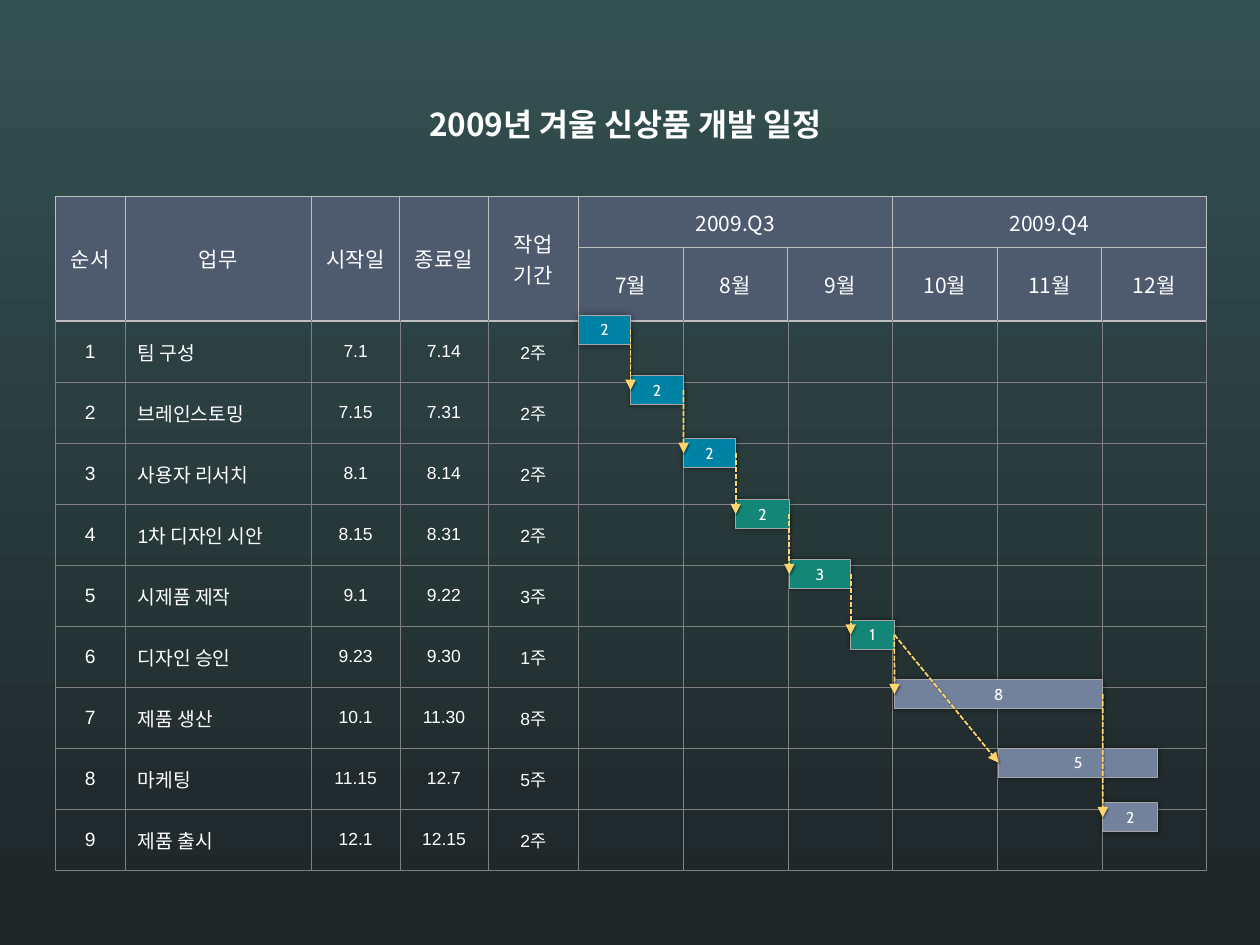
from dataclasses import dataclass

from lxml.etree import SubElement
from pptx import Presentation
from pptx.dml.color import RGBColor
from pptx.enum.dml import MSO_LINE
from pptx.enum.shapes import MSO_CONNECTOR as Connector, MSO_SHAPE as Preset
from pptx.enum.text import MSO_ANCHOR as Anchor, MSO_AUTO_SIZE as AutoSize, PP_ALIGN as Align
from pptx.oxml.ns import qn
from pptx.util import Cm, Pt


@dataclass(frozen=True)
class Theme:
    """Colours, fonts and sizes of the schedule."""
    top: str = "345152"
    bottom: str = "1F2729"
    text: str = "FFFFFF"
    header: str = "4E5B6F"
    header_line: str = "BFBFBF"
    grid: str = "808080"
    bar_line: str = "A6A6A6"
    arrow: str = "FED46C"
    planning: str = "0082A5"
    design: str = "138677"
    launch: str = "72829C"
    korean: str = "Noto Sans CJK KR"
    body: str = "Arial"
    label: str = "Cabin"
    title_size: int = 18
    header_size: int = 12
    task_size: int = 11
    date_size: int = 10
    label_size: int = 9


THEME = Theme()
COLUMNS = [1.4, 3.76, 1.78, 1.78, 1.82] + [2.11] * 6
ROWS = [1.03] * 2 + [1.23] * 9
HEADINGS = ["순서", "업무", "시작일", "종료일", "작업\n기간"]
QUARTERS = {5: "2009.Q3", 8: "2009.Q4"}
TASKS = [
    ("팀 구성", "7.1", "7.14", 2),
    ("브레인스토밍", "7.15", "7.31", 2),
    ("사용자 리서치", "8.1", "8.14", 2),
    ("1차 디자인 시안", "8.15", "8.31", 2),
    ("시제품 제작", "9.1", "9.22", 3),
    ("디자인 승인", "9.23", "9.30", 1),
    ("제품 생산", "10.1", "11.30", 8),
    ("마케팅", "11.15", "12.7", 5),
    ("제품 출시", "12.1", "12.15", 2),
]
BARS = [
    (11.66, 12.71, 6.35, THEME.planning),
    (12.71, 13.78, 7.57, THEME.planning),
    (13.78, 14.83, 8.84, THEME.planning),
    (14.83, 15.91, 10.07, THEME.design),
    (15.91, 17.15, 11.28, THEME.design),
    (17.15, 18.03, 12.5, THEME.design),
    (18.03, 22.23, 13.7, THEME.launch),
    (20.13, 23.34, 15.08, THEME.launch),
    (22.23, 23.34, 16.18, THEME.launch),
]
LINKS = [(step, step + 1) for step in range(6)] + [(5, 7), (6, 8)]


def color(value):
    """Turn a hex string into a colour."""
    return RGBColor.from_string(value)


def write(frame, text, size, font, align=Align.CENTER, bold=False):
    """Write text into a frame, one paragraph for each line."""
    frame.text = text
    for paragraph in frame.paragraphs:
        paragraph.alignment = align
        for run in paragraph.runs:
            run.font.size, run.font.name, run.font.bold = Pt(size), font, bold
            run.font.color.rgb = color(THEME.text)
            SubElement(run.font._element, qn("a:ea"), typeface=THEME.korean)


def add_shadow(shape, blur, distance=0, angle=0):
    """Give a shape a soft black shadow."""
    properties = shape._element.spPr
    effects = properties.find(qn("a:effectLst"))
    if effects is None:
        effects = SubElement(properties, qn("a:effectLst"))
    shadow = SubElement(effects, qn("a:outerShdw"), blurRad=str(Pt(blur)),
                        dist=str(Pt(distance)), dir=str(angle * 60000))
    black = SubElement(shadow, qn("a:srgbClr"), val="000000")
    SubElement(black, qn("a:alpha"), val="40000")


def format_cell(cell, borders, fill=None):
    """Set the borders (left, right, top, bottom), the fill and the anchor of a cell."""
    properties = cell._tc.get_or_add_tcPr()
    for side, (line_color, width) in zip("LRTB", borders):
        line = SubElement(properties, qn(f"a:ln{side}"), w=str(Pt(width)))
        solid = SubElement(line, qn("a:solidFill"))
        SubElement(solid, qn("a:srgbClr"), val=line_color)
    if fill:
        cell.fill.solid()
        cell.fill.fore_color.rgb = color(fill)
    else:
        cell.fill.background()
    cell.vertical_anchor = Anchor.MIDDLE


class ScheduleSlide:
    """Holds the theme and the slide that is being filled."""

    def __init__(self, presentation, theme):
        """Add a slide with a gradient background."""
        self.theme = theme
        self.slide = presentation.slides.add_slide(presentation.slide_layouts[5])
        fill = self.slide.background.fill
        fill.gradient()
        fill.gradient_angle = 270
        stops = zip(fill.gradient_stops, (theme.top, theme.bottom), (0, 0.95))
        for stop, value, position in stops:
            stop.color.rgb, stop.position = color(value), position

    def title(self, text):
        """Place and fill the title placeholder."""
        shape = self.slide.shapes.title
        shape.left, shape.top, shape.width, shape.height = Cm(6.55), Cm(1.98), Cm(12.12), Cm(1.02)
        frame = shape.text_frame
        frame.auto_size, frame.word_wrap = AutoSize.NONE, True
        frame.vertical_anchor = Anchor.MIDDLE
        write(frame, text, self.theme.title_size, self.theme.korean, bold=True)

    def table(self):
        """Add the schedule table."""
        theme = self.theme
        table = self.slide.shapes.add_table(
            len(ROWS), len(COLUMNS), Cm(1.12), Cm(3.96), Cm(sum(COLUMNS)), Cm(sum(ROWS))).table
        table.first_row = table.horz_banding = False
        for column, width in zip(table.columns, COLUMNS):
            column.width = Cm(width)
        for row, height in zip(table.rows, ROWS):
            row.height = Cm(height)
        thin, thick = (theme.header_line, 0.5), (theme.header_line, 1)
        grid = (theme.grid, 0.25)
        last = len(COLUMNS) - 1
        for row in range(len(ROWS)):
            for column in range(len(COLUMNS)):
                if row < 2:
                    borders = [thick if column == 0 else thin, thick if column == last else thin,
                               thin if row else thick, thick if row else thin]
                    format_cell(table.cell(row, column), borders, theme.header)
                else:
                    borders = [grid, grid, thick if row == 2 else grid, grid]
                    format_cell(table.cell(row, column), borders)
        self.table_header(table)
        for row, (task, start, end, weeks) in enumerate(TASKS, 2):
            for column, text in enumerate((str(row - 1), task, start, end, f"{weeks}주")):
                write(table.cell(row, column).text_frame, text,
                      theme.task_size if column < 2 else theme.date_size, theme.body,
                      align=Align.LEFT if column == 1 else Align.CENTER)

    def table_header(self, table):
        """Merge and fill the two heading rows."""
        headings = {(0, column): text for column, text in enumerate(HEADINGS)}
        for row, column in headings:
            table.cell(row, column).merge(table.cell(1, column))
        for column, text in QUARTERS.items():
            table.cell(0, column).merge(table.cell(0, column + 2))
            headings[0, column] = text
        headings.update({(1, month - 2): f"{month}월" for month in range(7, 13)})
        for position, text in headings.items():
            write(table.cell(*position).text_frame, text, self.theme.header_size, self.theme.korean)

    def bar(self, weeks, left, right, top, fill, blur):
        """Add a task bar labelled with its weeks."""
        shape = self.slide.shapes.add_shape(
            Preset.RIGHT_ARROW, Cm(left), Cm(top), Cm(right - left), Cm(0.59))
        shape.adjustments[0], shape.adjustments[1] = 1, 0
        shape.fill.solid()
        shape.fill.fore_color.rgb = color(fill)
        shape.line.color.rgb = color(self.theme.bar_line)
        shape.line.width = Pt(0.5)
        shape.shadow.inherit = False
        add_shadow(shape, blur)
        frame = shape.text_frame
        frame.margin_left = frame.margin_right = frame.margin_top = frame.margin_bottom = 0
        frame.vertical_anchor = Anchor.MIDDLE
        write(frame, str(weeks), self.theme.label_size, self.theme.label)
        return shape

    def arrow(self, source, target):
        """Join the end of one bar to the start of another."""
        connector = self.slide.shapes.add_connector(Connector.STRAIGHT, 0, 0, 0, 0)
        connector.begin_connect(source, 3)
        connector.end_connect(target, 1)
        connector.line.color.rgb = color(self.theme.arrow)
        connector.line.width = Pt(1)
        connector.line.dash_style = MSO_LINE.SQUARE_DOT
        SubElement(connector.line._get_or_add_ln(), qn("a:tailEnd"), type="triangle")
        add_shadow(connector, 1, 1, 45)


def main():
    """Build and save the schedule."""
    presentation = Presentation()
    presentation.slide_width, presentation.slide_height = Cm(25.4), Cm(19.05)
    schedule = ScheduleSlide(presentation, THEME)
    schedule.title("2009년 겨울 신상품 개발 일정")
    schedule.table()
    bars = [schedule.bar(task[-1], *bar, blur=3 if index else 5)
            for index, (task, bar) in enumerate(zip(TASKS, BARS))]
    for source, target in LINKS:
        schedule.arrow(bars[source], bars[target])
    presentation.save("out.pptx")


if __name__ == "__main__":
    main()
